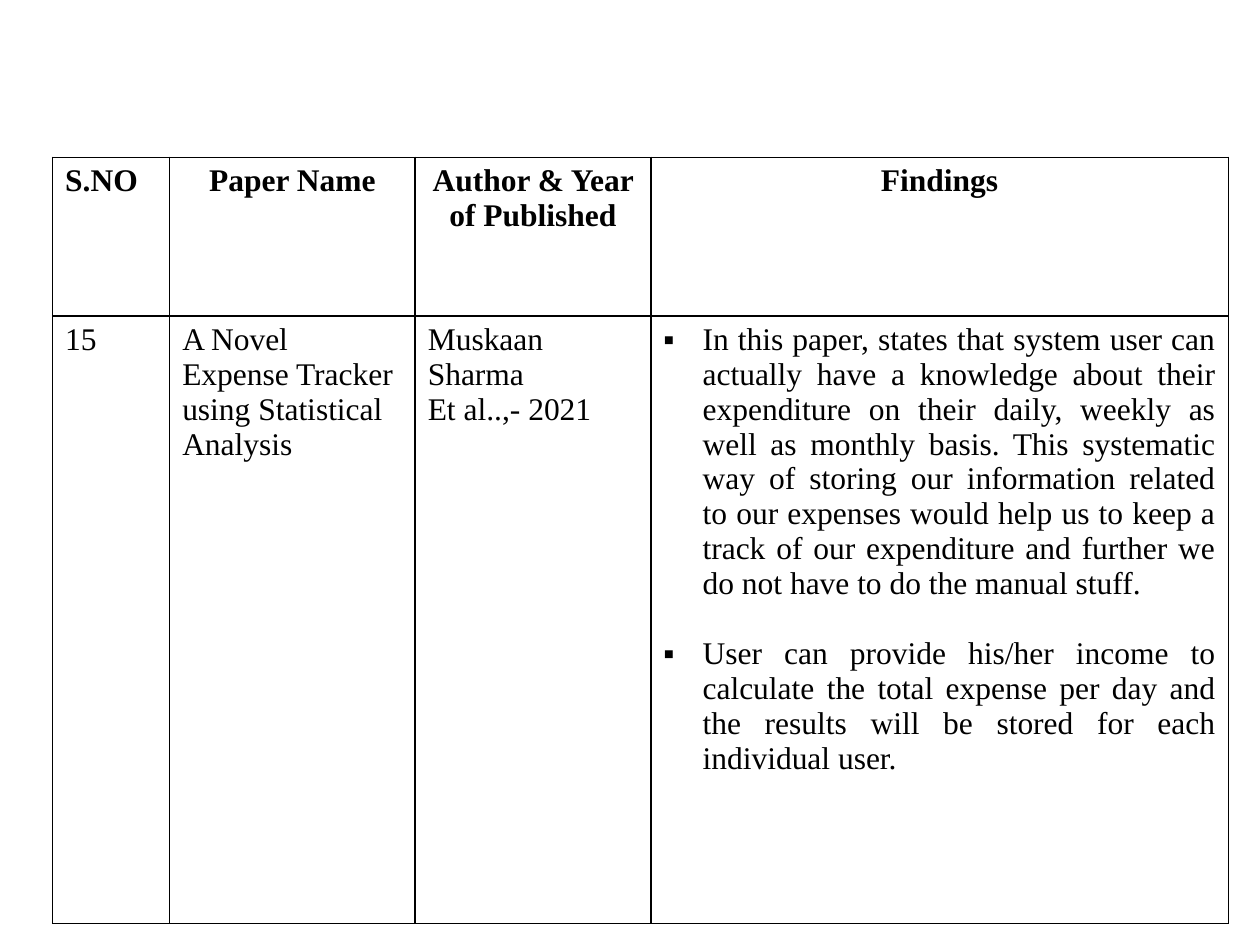
from dataclasses import dataclass

from lxml.etree import SubElement
from pptx import Presentation
from pptx.dml.color import RGBColor
from pptx.enum.text import PP_ALIGN
from pptx.oxml import parse_xml
from pptx.oxml.ns import nsdecls, qn
from pptx.util import Cm, Pt


@dataclass(frozen=True)
class Theme:
    """Colours, font and sizes of the slide."""
    font: str = "Times New Roman"
    text_size: float = 18
    text_color: str = "000000"
    background: str = "FFFFFF"
    border_color: str = "000000"
    border_width: float = 1
    bullet_gap: float = 20
    bullet_indent: float = 0.79


@dataclass(frozen=True)
class CellContent:
    """Paragraphs of one table cell and how they are set."""
    paragraphs: tuple[str, ...]
    alignment: PP_ALIGN = PP_ALIGN.LEFT
    bold: bool = False
    bulleted: bool = False


THEME = Theme()
COLUMN_WIDTHS = (2.36, 4.95, 4.75, 11.64)
ROW_HEIGHTS = (3.2, 12.25)

HEADER = (
    CellContent(("S.NO",), bold=True),
    *(CellContent((title,), PP_ALIGN.CENTER, bold=True)
      for title in ("Paper Name", "Author & Year of Published", "Findings")),
)
PAPER = (
    CellContent(("15",)),
    CellContent(("A Novel Expense Tracker using Statistical Analysis",)),
    CellContent(("Muskaan Sharma", "Et al..,- 2021")),
    CellContent((
        "In this paper, states that system user can actually have a knowledge "
        "about their expenditure on their daily, weekly as well as monthly basis. "
        "This systematic way of storing our information related to our expenses "
        "would help us to keep a track of our expenditure and further we do not "
        "have to do the manual stuff.",
        "User can provide his/her income to calculate the total expense per day "
        "and the results will be stored for each individual user.",
    ), PP_ALIGN.JUSTIFY, bulleted=True),
)


def add_bullet(paragraph) -> None:
    """Give a paragraph a square bullet and a hanging indent."""
    properties = paragraph._p.get_or_add_pPr()
    indent = Cm(THEME.bullet_indent)
    properties.set("marL", str(indent))
    properties.set("indent", str(-indent))
    SubElement(properties, qn("a:buFont"), typeface=THEME.font)
    SubElement(properties, qn("a:buChar"), char="▪")


def add_borders(cell) -> None:
    """Draw a solid line on all four sides of a cell."""
    properties = cell._tc.get_or_add_tcPr()
    for position, side in enumerate(("lnL", "lnR", "lnT", "lnB")):
        properties.insert(position, parse_xml(
            f'<a:{side} {nsdecls("a")} w="{Pt(THEME.border_width)}"><a:solidFill>'
            f'<a:srgbClr val="{THEME.border_color}"/></a:solidFill></a:{side}>'))


def fill_cell(cell, content: CellContent) -> None:
    """Write and format the content of one cell."""
    cell.fill.solid()
    cell.fill.fore_color.rgb = RGBColor.from_string(THEME.background)
    add_borders(cell)
    cell.text_frame.text = "\n".join(content.paragraphs)
    for index, paragraph in enumerate(cell.text_frame.paragraphs):
        paragraph.alignment = content.alignment
        if content.bulleted:
            paragraph.space_before = Pt(THEME.bullet_gap if index else 0)
            add_bullet(paragraph)
        for run in paragraph.runs:
            run.font.name = THEME.font
            run.font.size = Pt(THEME.text_size)
            run.font.bold = content.bold
            run.font.color.rgb = RGBColor.from_string(THEME.text_color)


def add_paper_table(slide) -> None:
    """Add the table of reviewed papers."""
    rows = (HEADER, PAPER)
    table = slide.shapes.add_table(
        len(rows), len(COLUMN_WIDTHS), Cm(1.06), Cm(3.17),
        Cm(sum(COLUMN_WIDTHS)), Cm(sum(ROW_HEIGHTS))).table
    table.horz_banding = False
    for column, width in zip(table.columns, COLUMN_WIDTHS):
        column.width = Cm(width)
    for row, height, contents in zip(table.rows, ROW_HEIGHTS, rows):
        row.height = Cm(height)
        for cell, content in zip(row.cells, contents):
            fill_cell(cell, content)


def main() -> None:
    """Build and save the presentation."""
    presentation = Presentation()
    presentation.slide_width, presentation.slide_height = Cm(25.4), Cm(19.05)
    slide = presentation.slides.add_slide(presentation.slide_layouts[6])
    add_paper_table(slide)
    presentation.save("out.pptx")


main()
